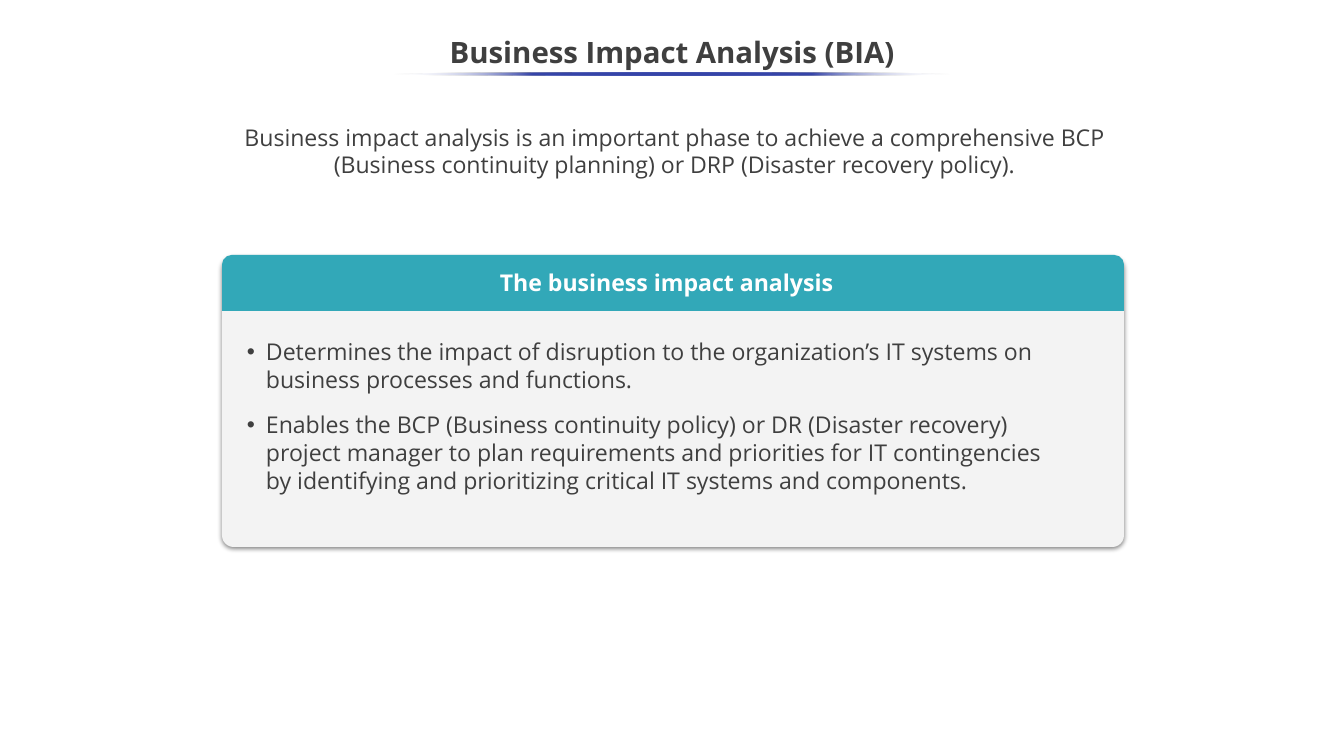
from lxml import etree
from pptx import Presentation
from pptx.dml.color import RGBColor
from pptx.enum.shapes import MSO_SHAPE
from pptx.enum.text import MSO_ANCHOR, MSO_AUTO_SIZE, PP_ALIGN
from pptx.oxml import parse_xml
from pptx.oxml.ns import nsdecls, qn
from pptx.util import Emu, Pt

SCALE = 914400 / 75.6
FONT = "Open Sans"
INK = RGBColor(0x3F, 0x3F, 0x3F)
WHITE = RGBColor(0xFF, 0xFF, 0xFF)
TEAL = RGBColor(0x32, 0xA8, 0xB8)
PANEL = RGBColor(0xF3, 0xF3, 0xF3)
BLUE = RGBColor(0x36, 0x45, 0xA9)
BLACK = RGBColor(0, 0, 0)
CENTER, LEFT = PP_ALIGN.CENTER, PP_ALIGN.LEFT
MIDDLE, TOP = MSO_ANCHOR.MIDDLE, MSO_ANCHOR.TOP
NO_FIT = MSO_AUTO_SIZE.NONE
ROUND = MSO_SHAPE.ROUNDED_RECTANGLE
ROUND_TOP = MSO_SHAPE.ROUND_2_SAME_RECTANGLE
OVAL = MSO_SHAPE.OVAL


def px(n):
    return Emu(round(n * SCALE))


class Deck:
    def __init__(self, prs):
        self.slide = prs.slides.add_slide(prs.slide_layouts[1])

    def place(self, sp, box):
        sp.left, sp.top, sp.width, sp.height = map(px, box)

    def fill_text(self, sp, lines, size=22, color=INK, bold=False, align=CENTER,
                  anchor=MIDDLE, inset=(8, 4, 8, 4), spacing=1.0, gap=0, bullet=False):
        tf = sp.text_frame
        tf.text = "\n".join(lines)
        tf.word_wrap = True
        tf.auto_size = NO_FIT
        tf.vertical_anchor = anchor
        tf.margin_left, tf.margin_top, tf.margin_right, tf.margin_bottom = map(px, inset)
        for i, p in enumerate(tf.paragraphs):
            if bullet:
                self.bullet(p, color)
            p.alignment = align
            p.line_spacing = spacing
            p.space_before = Pt(gap if i else 0)
            for r in p.runs:
                r.font.name = FONT
                r.font.size = Pt(size)
                r.font.bold = bold
                r.font.color.rgb = color

    def bullet(self, p, color):
        pPr = p._p.get_or_add_pPr()
        pPr.set("marL", str(px(19)))
        pPr.set("indent", str(-px(19)))
        clr = etree.SubElement(pPr, qn("a:buClr"))
        etree.SubElement(clr, qn("a:srgbClr"), val=str(color))
        etree.SubElement(pPr, qn("a:buFont"), typeface="Arial")
        etree.SubElement(pPr, qn("a:buChar"), char="•")

    def title(self, box, text):
        sp = self.slide.shapes.title
        self.place(sp, box)
        self.fill_text(sp, [text], size=28, bold=True, spacing=0.9)

    def body(self, box, lines):
        sp = self.slide.placeholders[1]
        self.place(sp, box)
        self.fill_text(sp, lines, align=LEFT, inset=(14, 14, 14, 14), gap=17, bullet=True)
        self.slide.shapes._spTree.append(sp._element)

    def text(self, box, text):
        sp = self.slide.shapes.add_textbox(*map(px, box))
        self.fill_text(sp, [text], anchor=TOP, inset=(4, 4, 4, 4))

    def shape(self, kind, box, fill=None, adjustments=()):
        sp = self.slide.shapes.add_shape(kind, *map(px, box))
        sp.shadow.inherit = False
        sp.line.fill.background()
        if fill is not None:
            sp.fill.solid()
            sp.fill.fore_color.rgb = fill
        for i, value in enumerate(adjustments):
            sp.adjustments[i] = value
        return sp

    def panel(self, box):
        sp = self.shape(ROUND, box, PANEL, [0.04])
        effects = sp._element.spPr.find(qn("a:effectLst"))
        effects.append(parse_xml(
            f'<a:outerShdw {nsdecls("a")} blurRad="{Pt(4.5)}" dist="{Pt(1.5)}" '
            f'dir="5400000" algn="t" rotWithShape="0"><a:srgbClr val="{BLACK}">'
            '<a:alpha val="50000"/></a:srgbClr></a:outerShdw>'))

    def header(self, box, text):
        sp = self.shape(ROUND_TOP, box, TEAL, [0.17, 0])
        self.fill_text(sp, [text], color=WHITE, bold=True, inset=(8, 8, 21, 8), spacing=0.9)

    def underline(self, box):
        sp = self.shape(OVAL, box)
        sp.fill.gradient()
        sp.fill.gradient_angle = 180
        stops = sp._element.spPr.find(qn("a:gradFill")).find(qn("a:gsLst"))
        for stop in list(stops):
            stops.remove(stop)
        for pos in range(0, 101, 25):
            edge = pos in (0, 100)
            gs = etree.SubElement(stops, qn("a:gs"), pos=str(pos * 1000))
            clr = etree.SubElement(gs, qn("a:srgbClr"), val=str(WHITE if edge else BLUE))
            if edge:
                etree.SubElement(clr, qn("a:alpha"), val="0")


def main():
    prs = Presentation()
    prs.slide_width, prs.slide_height = px(1344), px(756)
    s = Deck(prs)
    s.title((-1, 25, 1346, 57), "Business Impact Analysis (BIA)")
    s.text((208, 119, 933, 64),
           "Business impact analysis is an important phase to achieve a comprehensive BCP "
           "(Business continuity planning) or DRP (Disaster recovery policy).")
    s.panel((222, 257, 902, 290))
    s.header((222, 255, 902, 56), "The business impact analysis")
    s.body((233, 323, 835, 185), [
        "Determines the impact of disruption to the organization’s IT systems on "
        "business processes and functions.",
        "Enables the BCP (Business continuity policy) or DR (Disaster recovery) project "
        "manager to plan requirements and priorities for IT contingencies by identifying "
        "and prioritizing critical IT systems and components.",
    ])
    s.underline((394, 73, 556, 3))
    prs.save("out.pptx")


if __name__ == "__main__":
    main()
